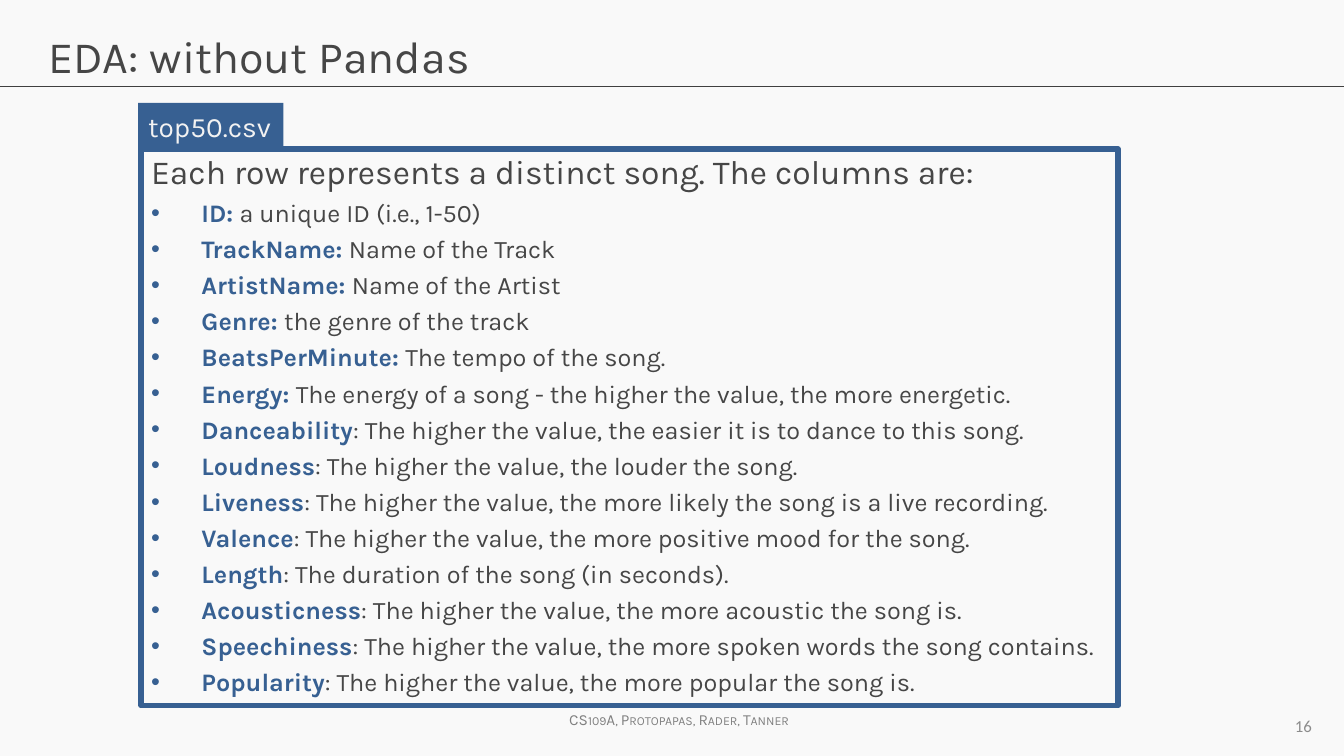
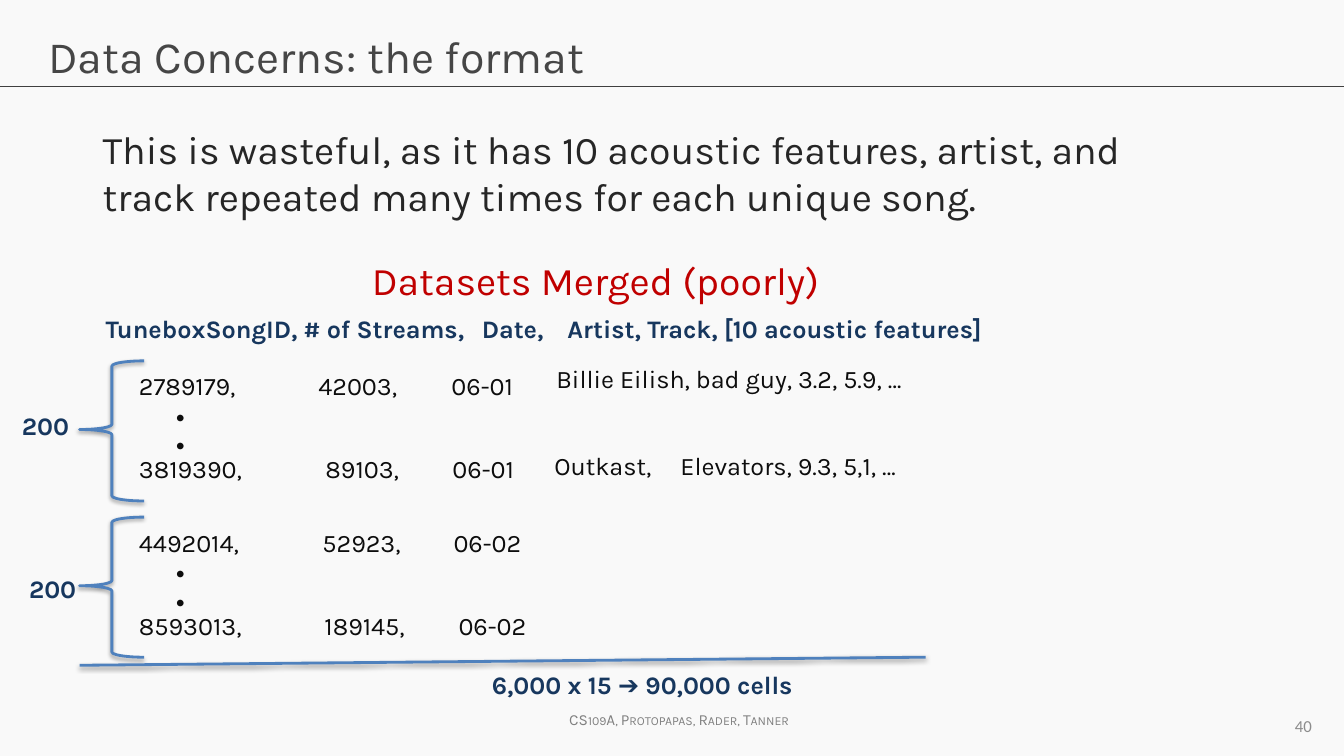
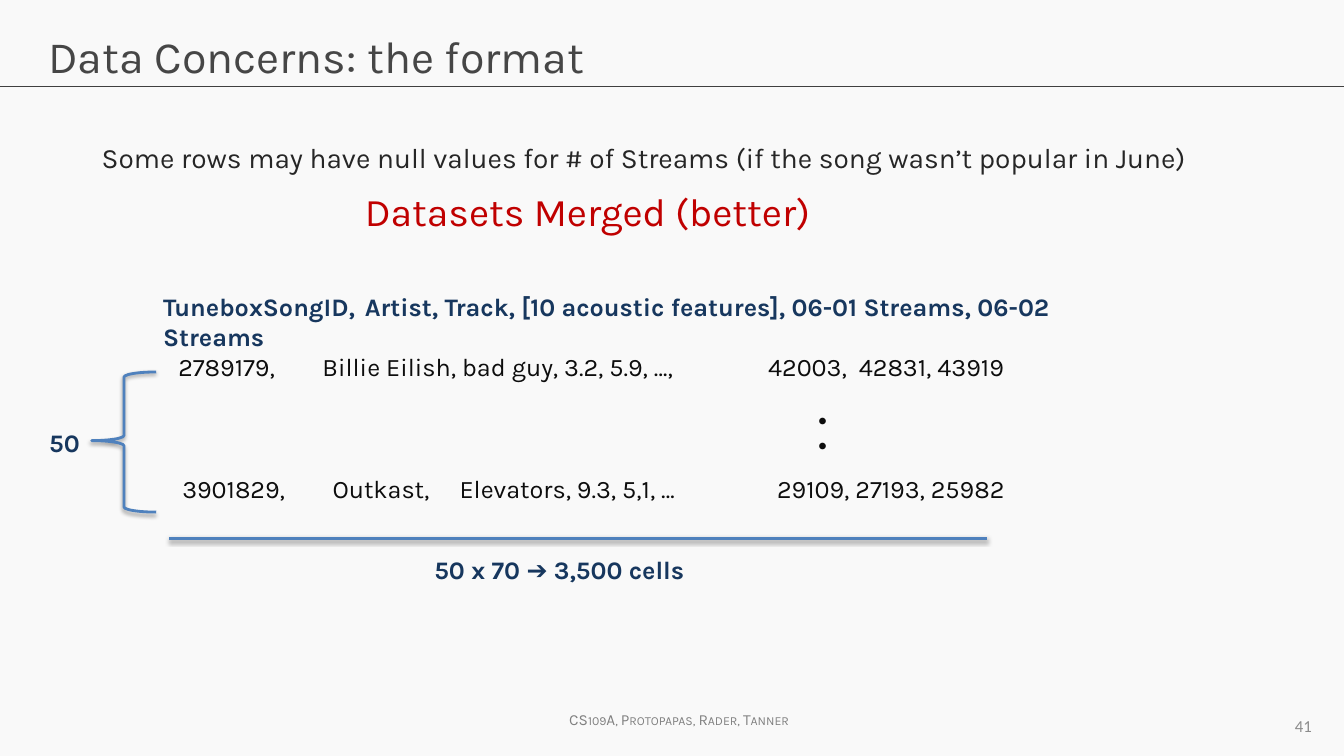
from dataclasses import dataclass

from lxml import etree
from pptx import Presentation
from pptx.dml.color import RGBColor
from pptx.enum.shapes import MSO_CONNECTOR, MSO_SHAPE
from pptx.enum.text import MSO_ANCHOR, MSO_AUTO_SIZE, PP_ALIGN
from pptx.oxml.ns import qn
from pptx.presentation import Presentation as Deck
from pptx.slide import Slide
from pptx.util import Inches, Pt

RECT, BRACE = MSO_SHAPE.RECTANGLE, MSO_SHAPE.LEFT_BRACE
STRAIGHT = MSO_CONNECTOR.STRAIGHT
LEFT, MID, RIGHT = PP_ALIGN.LEFT, PP_ALIGN.CENTER, PP_ALIGN.RIGHT
TOP, CENTER = MSO_ANCHOR.TOP, MSO_ANCHOR.MIDDLE
GROW = MSO_AUTO_SIZE.SHAPE_TO_FIT_TEXT


@dataclass(frozen=True)
class Style:
    size: float
    color: str
    bold: bool = False
    font: str = "Karla"


@dataclass(frozen=True)
class Theme:
    back: str = "F9F9F9"
    rule: str = "404040"
    blue: str = "376092"
    line: str = "4F81BD"
    title: Style = Style(32, "464646")
    foot: Style = Style(11, "808080")
    page: Style = Style(12, "8C8C8C", font="Calibri")
    tab: Style = Style(20, "F2F2F2")
    intro: Style = Style(24, "464646")
    term: Style = Style(18, "376092", True)
    note: Style = Style(18, "464646")
    lead: Style = Style(28, "262626")
    aside: Style = Style(20, "262626")
    merge: Style = Style(28, "C00000")
    head: Style = Style(18, "17375E", True)
    row: Style = Style(18, "0D0D0D")
    dot: Style = Style(32, "0D0D0D", True, "Calibri")


@dataclass(frozen=True)
class Label:
    """One line of text; stops are the slide positions of its tabs."""
    left: float
    top: float
    width: float
    height: float
    text: str
    style: Style
    stops: tuple[float, ...] = ()
    align: PP_ALIGN = LEFT
    anchor: MSO_ANCHOR = TOP
    wrap: bool = True


@dataclass(frozen=True)
class Group:
    """A brace with its row count; mark is the count's position."""
    left: float
    top: float
    count: str
    mark: tuple[float, float]


T = Theme()
PAD = 0.1
ROW = 0.59

FIELDS = [
    ("ID: ", "a unique ID (i.e., 1-50)"),
    ("TrackName: ", "Name of the Track"),
    ("ArtistName: ", "Name of the Artist"),
    ("Genre: ", "the genre of the track"),
    ("BeatsPerMinute: ", "The tempo of the song."),
    ("Energy: ", "The energy of a song - the higher the value, the more energetic."),
    ("Danceability", ": The higher the value, the easier it is to dance to this song."),
    ("Loudness", ": The higher the value, the louder the song."),
    ("Liveness", ": The higher the value, the more likely the song is a live recording."),
    ("Valence", ": The higher the value, the more positive mood for the song."),
    ("Length", ": The duration of the song (in seconds)."),
    ("Acousticness", ": The higher the value, the more acoustic the song is."),
    ("Speechiness", ": The higher the value, the more spoken words the song contains."),
    ("Popularity", ": The higher the value, the more popular the song is."),
]


# Text helpers
def rgb(color: str) -> RGBColor:
    return RGBColor.from_string(color)


def paint(run, style: Style) -> None:
    font = run.font
    font.name, font.size, font.bold = style.font, Pt(style.size), style.bold
    font.color.rgb = rgb(style.color)


def add_stops(para, left: float, stops: tuple[float, ...]) -> None:
    tabs = etree.SubElement(para._p.get_or_add_pPr(), qn("a:tabLst"))
    for stop in stops:
        pos = Inches(round(stop - left - PAD, 2))
        etree.SubElement(tabs, qn("a:tab"), pos=str(pos), algn="l")


def add_label(slide: Slide, item: Label):
    box = slide.shapes.add_textbox(Inches(item.left), Inches(item.top),
                                   Inches(item.width), Inches(item.height))
    frame = box.text_frame
    frame.text = item.text
    frame.word_wrap = item.wrap
    frame.vertical_anchor = item.anchor
    if not item.wrap:
        frame.auto_size = GROW
    para = frame.paragraphs[0]
    if item.stops:
        add_stops(para, item.left, item.stops)
    para.alignment = item.align
    for run in para.runs:
        paint(run, item.style)
    return box


def add_field(frame, term: str, note: str) -> None:
    para = frame.add_paragraph()
    props = para._p.get_or_add_pPr()
    props.set("marL", str(Inches(0.5)))
    props.set("indent", str(Inches(-0.5)))
    etree.SubElement(props, qn("a:buFont"), typeface="Arial")
    etree.SubElement(props, qn("a:buChar"), char="•")
    para.space_before = Pt(4.2)
    for text, style in ((term, T.term), (note, T.note)):
        run = para.add_run()
        run.text = text
        paint(run, style)


# Line and shape helpers
def add_glow(shape, shade: bool) -> None:
    """Give a shape a soft drop shadow, or an empty effect list."""
    props = shape._element.spPr
    for old in props.findall(qn("a:effectLst")):
        props.remove(old)
    effects = etree.SubElement(props, qn("a:effectLst"))
    if shade:
        outer = etree.SubElement(effects, qn("a:outerShdw"), blurRad=str(Pt(3.1)),
                                 dist=str(Pt(1.6)), dir="5400000", rotWithShape="0")
        color = etree.SubElement(outer, qn("a:srgbClr"), val="000000")
        etree.SubElement(color, qn("a:alpha"), val="38000")


def add_line(slide: Slide, start: tuple[float, float], end: tuple[float, float],
             color: str, width: float, shade: bool = False) -> None:
    line = slide.shapes.add_connector(STRAIGHT, Inches(start[0]), Inches(start[1]),
                                      Inches(end[0]), Inches(end[1]))
    line.line.color.rgb = rgb(color)
    line.line.width = Pt(width)
    add_glow(line, shade)


def add_group(slide: Slide, group: Group) -> None:
    brace = slide.shapes.add_shape(BRACE, Inches(group.left), Inches(group.top),
                                   Inches(0.64), Inches(1.39))
    brace.adjustments[0], brace.adjustments[1] = 0.08, 0.49
    brace.fill.background()
    brace.line.color.rgb = rgb(T.line)
    brace.line.width = Pt(2)
    add_glow(brace, True)
    add_label(slide, Label(*group.mark, 0.8, ROW, group.count, T.head))


def add_dots(slide: Slide, left: float, top: float, gap: float) -> None:
    for step in range(2):
        add_label(slide, Label(left, top + step * gap, 0.32, 0.64, ".", T.dot, wrap=False))


# Parts on every slide
def new_slide(deck: Deck, title: str, page: str) -> Slide:
    slide = deck.slides.add_slide(deck.slide_layouts[6])
    fill = slide.background.fill
    fill.solid()
    fill.fore_color.rgb = rgb(T.back)
    add_line(slide, (0, 0.86), (13.33, 0.86), T.rule, 0.75)
    foot = add_label(slide, Label(5.54, 7, 2.39, 0.29, "CS109A, Protopapas, Rader, Tanner",
                                  T.foot, align=MID, wrap=False))
    foot.text_frame.paragraphs[0].runs[0]._r.get_or_add_rPr().set("cap", "small")
    add_label(slide, Label(10, 7, 3.11, 0.4, page, T.page, align=RIGHT, anchor=CENTER))
    add_label(slide, Label(0.38, 0.24, 12.57, 0.84, title, T.title))
    return slide


# Slide with the columns of the file
def draw_fields(deck: Deck) -> None:
    slide = new_slide(deck, "EDA: without Pandas", "16")
    body = add_label(slide, Label(1.4, 1.45, 11.09, 5.34,
                                  "Each row represents a distinct song. The columns are:", T.intro))
    for term, note in FIELDS:
        add_field(body.text_frame, term, note)

    tab = slide.shapes.add_shape(RECT, Inches(1.37), Inches(1.02), Inches(1.44), Inches(0.46))
    tab.shadow.inherit = False
    tab.fill.solid()
    tab.fill.fore_color.rgb = rgb(T.blue)
    tab.line.fill.background()
    tab.text_frame.text = "top50.csv"
    para = tab.text_frame.paragraphs[0]
    para.alignment = LEFT
    paint(para.runs[0], T.tab)

    panel = slide.shapes.add_shape(RECT, Inches(1.4), Inches(1.48), Inches(9.69), Inches(5.52))
    panel.shadow.inherit = False
    panel.fill.background()
    panel.line.color.rgb = rgb(T.blue)
    panel.line.width = Pt(4)


# Slide with the wasteful merge
def draw_poor(deck: Deck) -> None:
    slide = new_slide(deck, "Data Concerns: the format", "40")
    labels = [
        Label(0.92, 1.19, 10.97, 0.55, "This is wasteful, as it has 10 acoustic features, "
              "artist, and track repeated many times for each unique song.", T.lead),
        Label(3.59, 2.49, 4.77, 0.55, "Datasets Merged (poorly)", T.merge),
        Label(0.95, 3.06, 6.48, ROW, "TuneboxSongID,\t# of Streams,\tDate,", T.head, (3.01, 4.78)),
        Label(5.53, 3.06, 6.48, ROW, "Artist, Track, [10 acoustic features]", T.head),
        Label(1.28, 3.62, 4.14, ROW, "2789179,\t42003,\t06-01", T.row, (3.16, 4.48)),
        Label(1.28, 4.45, 4.14, ROW, "3819390,\t89103,\t06-01", T.row, (3.23, 4.49)),
        Label(1.28, 5.18, 4.14, ROW, "4492014,\t52923,\t06-02", T.row, (3.2, 4.5)),
        Label(1.28, 6.01, 4.14, ROW, "8593013,\t189145,\t06-02", T.row, (3.22, 4.55)),
        Label(5.42, 3.55, 5.47, ROW, "Billie Eilish, bad guy, 3.2, 5.9, …", T.row),
        Label(5.4, 4.42, 5.47, ROW, "Outkast,\tElevators, 9.3, 5,1, …", T.row, (6.75,)),
        Label(4.78, 6.59, 3.93, ROW, "6,000 x 15 ➔ 90,000 cells", T.head),
    ]
    for item in labels:
        add_label(slide, item)
    for group in (Group(0.79, 3.58, "200", (0.12, 4.02)), Group(0.79, 5.13, "200", (0.19, 5.64))):
        add_group(slide, group)
        add_dots(slide, 1.63, group.top + 0.11, 0.28)
    add_line(slide, (0.79, 6.6), (9.18, 6.52), T.line, 2, True)


# Slide with the compact merge
def draw_good(deck: Deck) -> None:
    slide = new_slide(deck, "Data Concerns: the format", "41")
    labels = [
        Label(0.91, 1.34, 12.19, 0.46, "Some rows may have null values for # of Streams "
              "(if the song wasn’t popular in June)", T.aside),
        Label(3.52, 1.81, 5.77, 0.55, "Datasets Merged (better)", T.merge),
        Label(1.52, 2.84, 10.04, 0.45, "TuneboxSongID,\tArtist, Track, [10 acoustic features], "
              "06-01 Streams, 06-02 Streams", T.head, (3.5,)),
        Label(1.67, 3.44, 9.08, ROW, "2789179,\tBillie Eilish, bad guy, 3.2, 5.9, …,"
              "\t42003,\t42831, 43919", T.row, (3.2, 7.62, 8.52)),
        Label(1.71, 4.65, 8.86, ROW, "3901829,\tOutkast,\tElevators, 9.3, 5,1, …"
              "\t29109, 27193, 25982", T.row, (3.3, 4.56, 7.71)),
        Label(4.21, 5.45, 4.4, ROW, "50 x 70 ➔ 3,500 cells", T.head),
    ]
    for item in labels:
        add_label(slide, item)
    add_dots(slide, 8, 3.72, 0.25)
    add_group(slide, Group(0.91, 3.69, "50", (0.39, 4.19)))
    add_line(slide, (1.68, 5.34), (9.79, 5.34), T.line, 2, True)


def main() -> None:
    deck = Presentation()
    deck.slide_width, deck.slide_height = Inches(13.33), Inches(7.5)
    draw_fields(deck)
    draw_poor(deck)
    draw_good(deck)
    deck.save("out.pptx")


if __name__ == "__main__":
    main()
